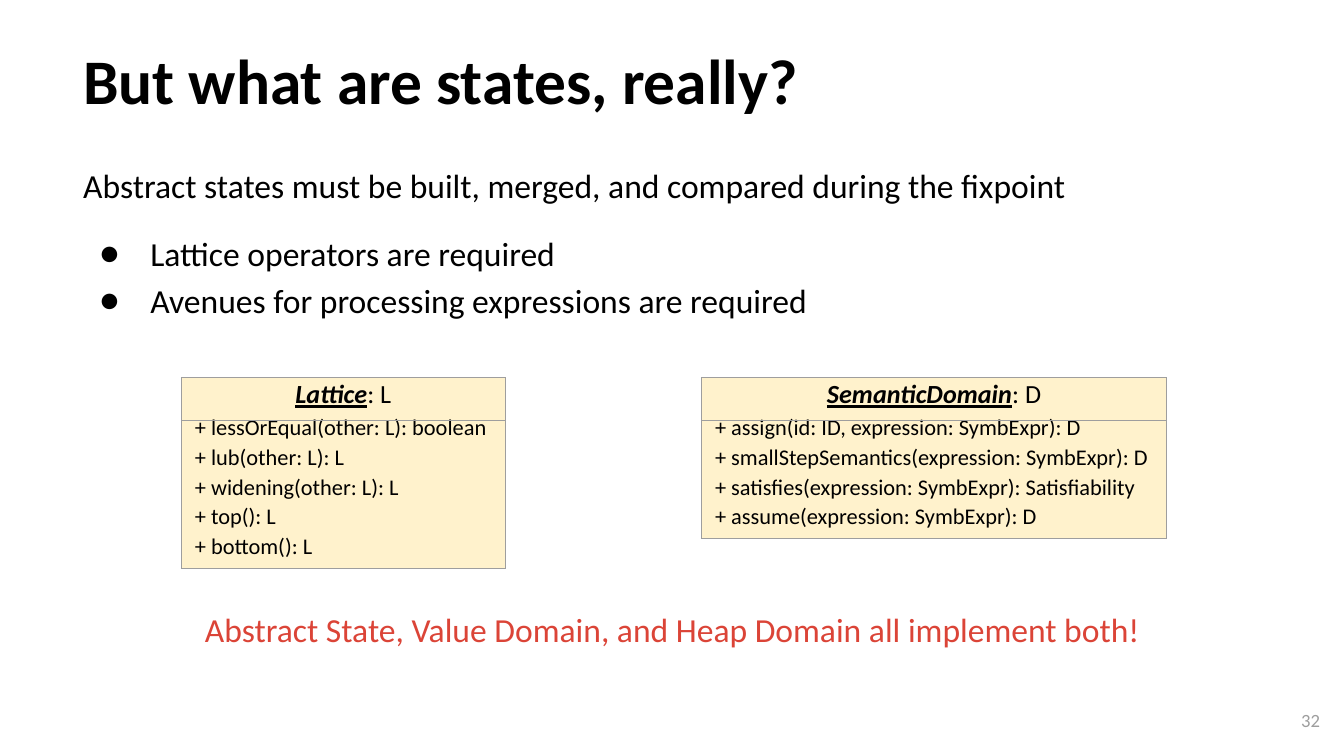
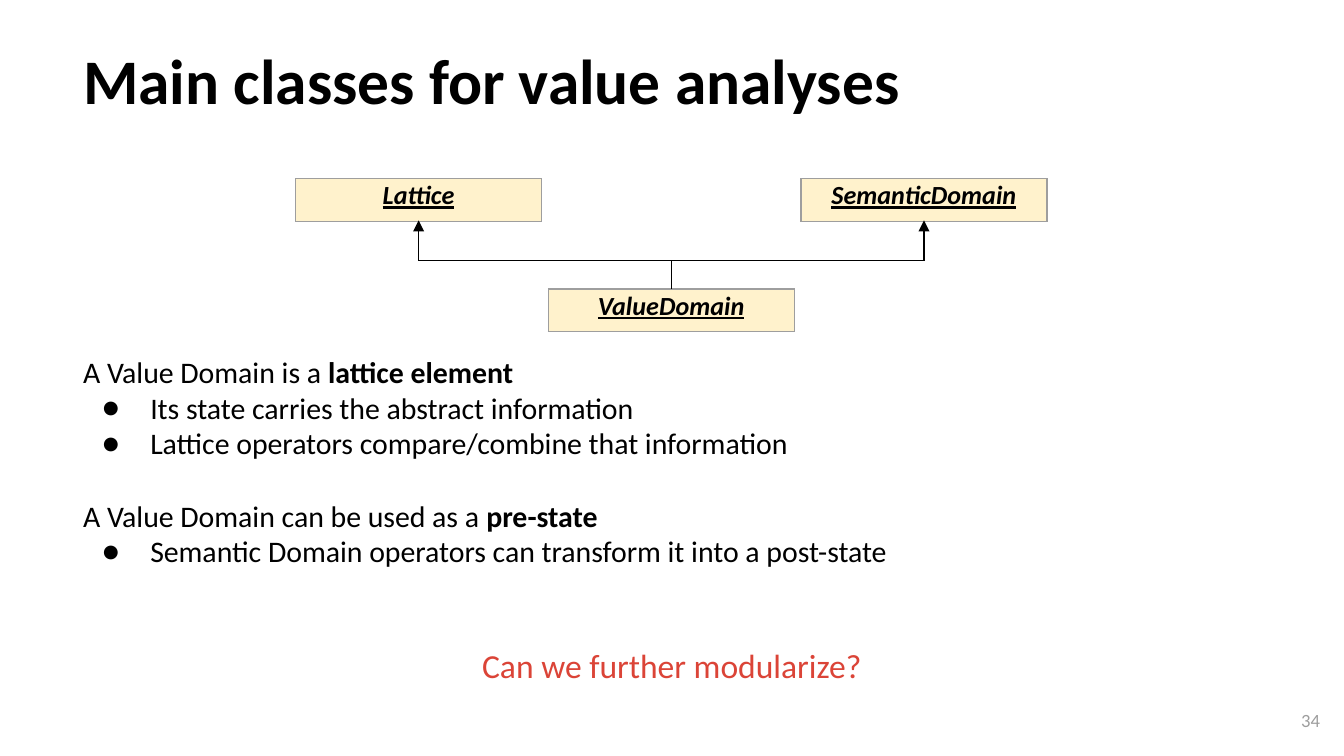
"""Build two slides on abstract states and the main classes for value analyses."""
import dataclasses

import lxml.etree
import pptx
import pptx.dml.color
import pptx.enum.shapes
import pptx.enum.text
import pptx.oxml.ns
import pptx.util

Inches = pptx.util.Inches
Pt = pptx.util.Pt
qn = pptx.oxml.ns.qn
ALIGN = pptx.enum.text.PP_ALIGN
ANCHOR = pptx.enum.text.MSO_ANCHOR


@dataclasses.dataclass(frozen=True)
class Theme:
    font: str = "Calibri"
    ink: str = "000000"
    grey: str = "9E9E9E"
    accent: str = "DB4437"
    class_fill: str = "FFF2CC"
    title: int = 34
    body: int = 18
    detail: int = 16
    class_name: int = 14
    member: int = 12
    number: int = 10
    rule: float = 0.75
    inset: float = 0.1


theme = Theme()
BOLD = {"bold": True}
CLASS_NAME = {"bold": True, "italic": True, "underline": True}


def write(holder, frame, paragraphs, size, color=theme.ink, anchor=ANCHOR.TOP):
    """Fill a box or cell with (runs, paragraph format, bullet indent) entries."""
    holder_format = {"vertical_anchor": anchor}
    for side in ("left", "top", "right", "bottom"):
        holder_format[f"margin_{side}"] = Inches(theme.inset)
    for name, value in holder_format.items():
        setattr(holder, name, value)
    for index, (runs, paragraph_format, indent) in enumerate(paragraphs):
        paragraph = frame.add_paragraph() if index else frame.paragraphs[0]
        if indent:
            properties = paragraph._p.get_or_add_pPr()
            properties.set("marL", str(Inches(0.5)))
            properties.set("indent", str(-Inches(indent)))
            bullet_color = lxml.etree.SubElement(properties, qn("a:buClr"))
            lxml.etree.SubElement(bullet_color, qn("a:srgbClr"), val=theme.ink)
            lxml.etree.SubElement(properties, qn("a:buFont"), typeface=theme.font)
            lxml.etree.SubElement(properties, qn("a:buChar"), char="●")
        for name, value in paragraph_format.items():
            setattr(paragraph, name, value)
        for text, run_format in runs:
            run = paragraph.add_run()
            run.text = text
            font_format = {"name": theme.font, "size": Pt(size), **run_format}
            for name, value in font_format.items():
                setattr(run.font, name, value)
            run.font.color.rgb = pptx.dml.color.RGBColor.from_string(color)


def add_class(slide, left, top, width, name, parameter="", members=()):
    """Draw a class as a one-column table and return its frame."""
    heights = [0.31] + [0.22] * len(members)
    frame = slide.shapes.add_table(
        len(heights), 1, Inches(left), Inches(top), Inches(width), Inches(sum(heights))
    )
    table = frame.table
    table.first_row = table.horz_banding = False
    for row, height in enumerate(heights):
        table.rows[row].height = Inches(height)
        cell = table.cell(row, 0)
        ruled = {
            "L": True,
            "R": True,
            "T": row < 2,
            "B": row in (0, len(heights) - 1),
        }
        cell_properties = cell._tc.get_or_add_tcPr()
        for side, visible in ruled.items():
            border = lxml.etree.SubElement(
                cell_properties, qn(f"a:ln{side}"), w=str(Pt(theme.rule))
            )
            if visible:
                paint = lxml.etree.SubElement(border, qn("a:solidFill"))
                lxml.etree.SubElement(paint, qn("a:srgbClr"), val=theme.grey)
            else:
                lxml.etree.SubElement(border, qn("a:noFill"))
        cell.fill.solid()
        cell.fill.fore_color.rgb = pptx.dml.color.RGBColor.from_string(theme.class_fill)
        if row:
            entry = ([(members[row - 1], {})], {"line_spacing": 0.1}, 0)
            size = theme.member
        else:
            runs = [(name, CLASS_NAME)]
            if parameter:
                runs.append((parameter, {}))
            entry = (runs, {"alignment": ALIGN.CENTER, "line_spacing": 0.5}, 0)
            size = theme.class_name
        write(cell, cell.text_frame, [entry], size, anchor=ANCHOR.MIDDLE)
    return frame


spaced = {"line_spacing": 1.15}
states_body = [
    (
        [("Abstract states must be built, merged, and compared during the fixpoint", {})],
        spaced,
        0,
    ),
    ([("Lattice operators are required", {})], {**spaced, "space_before": Pt(12)}, 0.38),
    ([("Avenues for processing expressions are required", {})], spaced, 0.38),
]
value_body = [
    ([("A Value Domain is a ", {}), ("lattice element", BOLD)], {}, 0),
    ([("Its state carries the abstract information", {})], {}, 0.36),
    ([("Lattice operators compare/combine that information", {})], {}, 0.36),
    (
        [("A Value Domain can be used as a ", {}), ("pre-state", BOLD)],
        {"space_before": Pt(19.5)},
        0,
    ),
    ([("Semantic Domain operators can transform it into a post-state", {})], {}, 0.36),
]
pages = [
    {
        "title": "But what are states, really?",
        "number": "32",
        "body": (states_body, (0.52, 1.08, 8.99, 3.98), theme.body),
        "takeaway": (
            "Abstract State, Value Domain, and Heap Domain all implement both!",
            (1.12, 4.43, 7.77, 0.6),
        ),
    },
    {
        "title": "Main classes for value analyses",
        "number": "34",
        "body": (value_body, (0.52, 2.53, 6.27, 2.07), theme.detail),
        "takeaway": ("Can we further modularize?", (1.13, 4.7, 7.74, 0.41)),
    },
]

deck = pptx.Presentation()
deck.slide_width = Inches(10)
deck.slide_height = Inches(10 * 9 / 16)

slides = []
for page in pages:
    slide = deck.slides.add_slide(deck.slide_layouts[6])
    slides.append(slide)
    body, body_place, body_size = page["body"]
    takeaway, takeaway_place = page["takeaway"]
    title = [([(page["title"], BOLD)], {}, 0)]
    number = [([(page["number"], {})], {"alignment": ALIGN.RIGHT}, 0)]
    closing = [([(takeaway, {})], {"alignment": ALIGN.CENTER}, 0)]
    blocks = [
        (title, (0.52, 0.13, 8.99, 0.84), theme.title, theme.ink, ANCHOR.BOTTOM),
        (body, body_place, body_size, theme.ink, ANCHOR.TOP),
        (number, (9.32, 5.14, 0.6, 0.43), theme.number, theme.grey, ANCHOR.MIDDLE),
        (closing, takeaway_place, theme.body, theme.accent, ANCHOR.TOP),
    ]
    for paragraphs, place, size, color, anchor in blocks:
        frame = slide.shapes.add_textbox(*map(Inches, place)).text_frame
        frame.word_wrap = True
        write(frame, frame, paragraphs, size, color, anchor)

states_slide, value_slide = slides

lattice_members = [
    "+ lessOrEqual(other: L): boolean",
    "+ lub(other: L): L",
    "+ widening(other: L): L",
    "+ top(): L",
    "+ bottom(): L",
]
domain_members = [
    "+ assign(id: ID, expression: SymbExpr): D",
    "+ smallStepSemantics(expression: SymbExpr): D",
    "+ satisfies(expression: SymbExpr): Satisfiability",
    "+ assume(expression: SymbExpr): D",
]
add_class(states_slide, 1.35, 2.81, 2.41, "Lattice", ": L", lattice_members)
add_class(states_slide, 5.22, 2.81, 3.46, "SemanticDomain", ": D", domain_members)

class_width = 1.83
semantic_domain = add_class(value_slide, 5.96, 1.33, class_width, "SemanticDomain")
lattice = add_class(value_slide, 2.2, 1.33, class_width, "Lattice")
value_domain = add_class(value_slide, 4.08, 2.15, class_width, "ValueDomain")

junction = Inches(1.94)
lattice_x, domain_x, value_x = (
    parent.left + parent.width // 2 for parent in (lattice, semantic_domain, value_domain)
)
links = [
    ((domain_x, junction), (domain_x, Inches(1.64)), semantic_domain, 2, True),
    ((domain_x, junction), (lattice_x, junction), None, 0, False),
    ((lattice_x, junction), (lattice_x, Inches(1.64)), lattice, 2, True),
    ((value_x, junction), (value_x, value_domain.top), value_domain, 0, False),
]
for start, end, target, side, arrow in links:
    link = value_slide.shapes.add_connector(
        pptx.enum.shapes.MSO_CONNECTOR.STRAIGHT, *start, *end
    )
    if target is not None:
        link.end_connect(target, side)
    link.line.width = Pt(theme.rule)
    link.line.color.rgb = pptx.dml.color.RGBColor.from_string(theme.ink)
    if arrow:
        lxml.etree.SubElement(link.line._get_or_add_ln(), qn("a:tailEnd"), type="triangle")
    lxml.etree.SubElement(link._element.spPr, qn("a:effectLst"))

deck.save("out.pptx")
